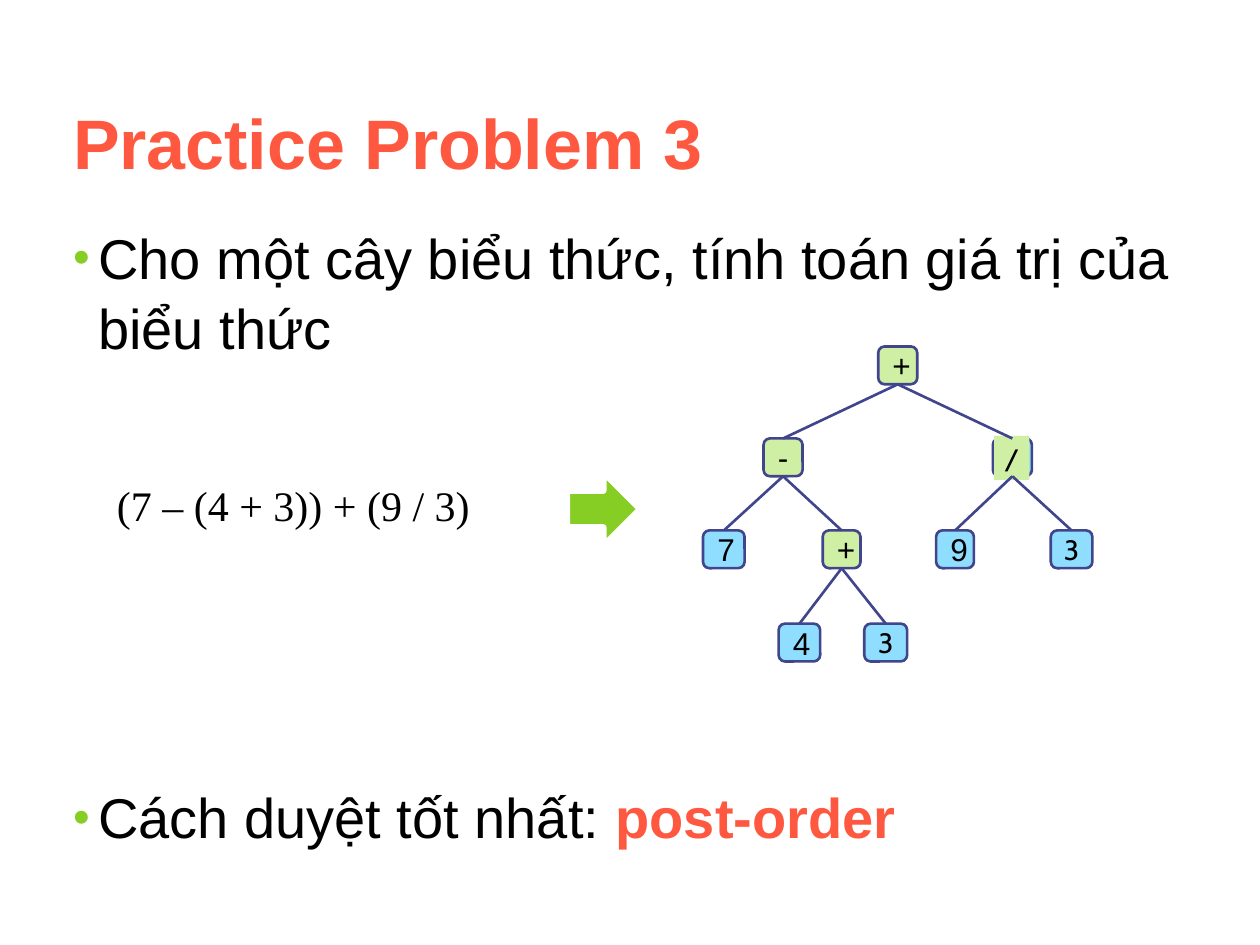
from lxml import etree
from pptx import Presentation
from pptx.dml.color import RGBColor
from pptx.enum.shapes import MSO_CONNECTOR as Connector, MSO_SHAPE as Shape
from pptx.enum.text import MSO_ANCHOR as Anchor, MSO_AUTO_SIZE as AutoSize, PP_ALIGN as Align
from pptx.oxml.ns import qn
from pptx.util import Inches, Pt

ACCENT = "FF5840"
BULLET = "86CE24"
OPERATOR = "CFEFA4"
OPERAND = "8FDEFF"
OUTLINE = "40458C"
BLACK = "000000"

NODES = {
    "root": ("+", 6.97, 2.75, 0.31, OPERATOR),
    "minus": ("-", 6.06, 3.48, 0.31, OPERATOR),
    "divide": ("", 7.88, 3.48, 0.31, OPERAND),
    "nine": ("9", 7.43, 4.21, 0.3, OPERAND),
    "divisor": ("3", 8.34, 4.21, 0.33, OPERAND),
    "seven": ("7", 5.58, 4.21, 0.33, OPERAND),
    "plus": ("+", 6.53, 4.21, 0.3, OPERATOR),
    "four": ("4", 6.18, 4.95, 0.33, OPERAND),
    "three": ("3", 6.86, 4.95, 0.34, OPERAND),
}
EDGES = [
    ("root", "minus"), ("root", "divide"),
    ("divide", "divisor"), ("divide", "nine"),
    ("minus", "plus"), ("minus", "seven"),
    ("plus", "four"), ("plus", "three"),
]


def color(value):
    return RGBColor.from_string(value)


def place(shape, left, top, width, height):
    shape.left, shape.top = Inches(left), Inches(top)
    shape.width, shape.height = Inches(width), Inches(height)


def format_run(run, size, font="Arial", fill=BLACK, bold=False):
    run.font.size = Pt(size)
    run.font.name = font
    run.font.bold = bold
    run.font.color.rgb = color(fill)


def write_label(shape, text, size, font, align):
    text_frame = shape.text_frame
    text_frame.word_wrap = False
    text_frame.vertical_anchor = Anchor.MIDDLE
    text_frame.text = text
    paragraph = text_frame.paragraphs[0]
    paragraph.alignment = align
    for run in paragraph.runs:
        format_run(run, size, font)


def add_title(slide, text):
    title = slide.shapes.title
    place(title, 0.5, 0.58, 9, 1.08)
    text_frame = title.text_frame
    text_frame.text = text
    text_frame.auto_size = AutoSize.NONE
    text_frame.vertical_anchor = Anchor.MIDDLE
    text_frame.margin_left = Inches(0.08)
    paragraph = text_frame.paragraphs[0]
    paragraph.alignment = Align.LEFT
    format_run(paragraph.runs[0], 40, fill=ACCENT, bold=True)


def format_bullet(paragraph, space_before):
    paragraph.space_before = Pt(space_before)
    paragraph.line_spacing = 1.04
    properties = paragraph._p.get_or_add_pPr()
    properties.set("marL", str(Inches(0.2)))
    properties.set("indent", str(-Inches(0.2)))
    bullet_color = etree.SubElement(properties, qn("a:buClr"))
    etree.SubElement(bullet_color, qn("a:srgbClr"), val=BULLET)
    etree.SubElement(properties, qn("a:buSzPct"), val="85000")
    etree.SubElement(properties, qn("a:buFont"), typeface="Arial")
    etree.SubElement(properties, qn("a:buChar"), char="•")


def add_body(slide):
    body = slide.placeholders[1]
    place(body, 0.5, 1.75, 9, 5.75)
    text_frame = body.text_frame
    text_frame.auto_size = AutoSize.NONE
    text_frame.margin_left = text_frame.margin_right = Inches(0.08)
    text_frame.margin_top = 0
    task = text_frame.paragraphs[0]
    task.text = "Cho một cây biểu thức, tính toán giá trị của biểu thức"
    answer = text_frame.add_paragraph()
    answer.text = "Cách duyệt tốt nhất: "
    answer.add_run().text = "post-order"
    for paragraph, space_before in ((task, 8), (answer, 240)):
        format_bullet(paragraph, space_before)
        for run in paragraph.runs:
            format_run(run, 32)
    format_run(answer.runs[1], 32, fill=ACCENT, bold=True)


def add_filled_shape(shapes, kind, box, fill):
    shape = shapes.add_shape(kind, *map(Inches, box))
    shape.shadow.inherit = False
    shape.fill.solid()
    shape.fill.fore_color.rgb = color(fill)
    shape.line.fill.background()
    return shape


def outline(shape, line_color, width):
    shape.line.color.rgb = color(line_color)
    shape.line.width = Pt(width)


def add_node(shapes, text, left, top, width, fill):
    node = add_filled_shape(shapes, Shape.ROUNDED_RECTANGLE, (left, top, width, 0.3), fill)
    outline(node, OUTLINE, 1.5)
    if text == "3":
        write_label(node, text, 16, "Cabin", Align.CENTER)
    elif text:
        write_label(node, text, 18, "Arial", Align.LEFT)
    return node


def add_edge(shapes, parent, child):
    edge = shapes.add_connector(Connector.STRAIGHT, 0, 0, 0, 0)
    edge.begin_connect(parent, 2)
    edge.end_connect(child, 0)
    outline(edge, OUTLINE, 1.5)
    etree.SubElement(edge._element.spPr, qn("a:effectLst"))


def add_tree(slide):
    shapes = slide.shapes.add_group_shape().shapes
    nodes = {name: add_node(shapes, *node) for name, node in NODES.items()}
    divide_label = add_filled_shape(shapes, Shape.RECTANGLE, (7.89, 3.46, 0.28, 0.35), OPERATOR)
    write_label(divide_label, "/", 16, "Cabin", Align.CENTER)
    for parent, child in EDGES:
        add_edge(shapes, nodes[parent], nodes[child])


def add_expression(slide, text):
    box = slide.shapes.add_textbox(Inches(0.83), Inches(3.76), Inches(3.67), Inches(0.5))
    box.text_frame.word_wrap = True
    box.text_frame.text = text
    format_run(box.text_frame.paragraphs[0].runs[0], 24, "Times New Roman")


def add_arrow(slide):
    arrow = add_filled_shape(slide.shapes, Shape.RIGHT_ARROW, (4.5, 3.75, 0.58, 0.58), BULLET)
    outline(arrow, "FFFFFF", 3.5)


def main():
    presentation = Presentation()
    presentation.slide_width, presentation.slide_height = Inches(10), Inches(7.5)
    slide = presentation.slides.add_slide(presentation.slide_layouts[1])
    add_title(slide, "Practice Problem 3")
    add_body(slide)
    add_tree(slide)
    add_expression(slide, "(7 – (4 + 3)) + (9 / 3)")
    add_arrow(slide)
    presentation.save("out.pptx")


if __name__ == "__main__":
    main()
